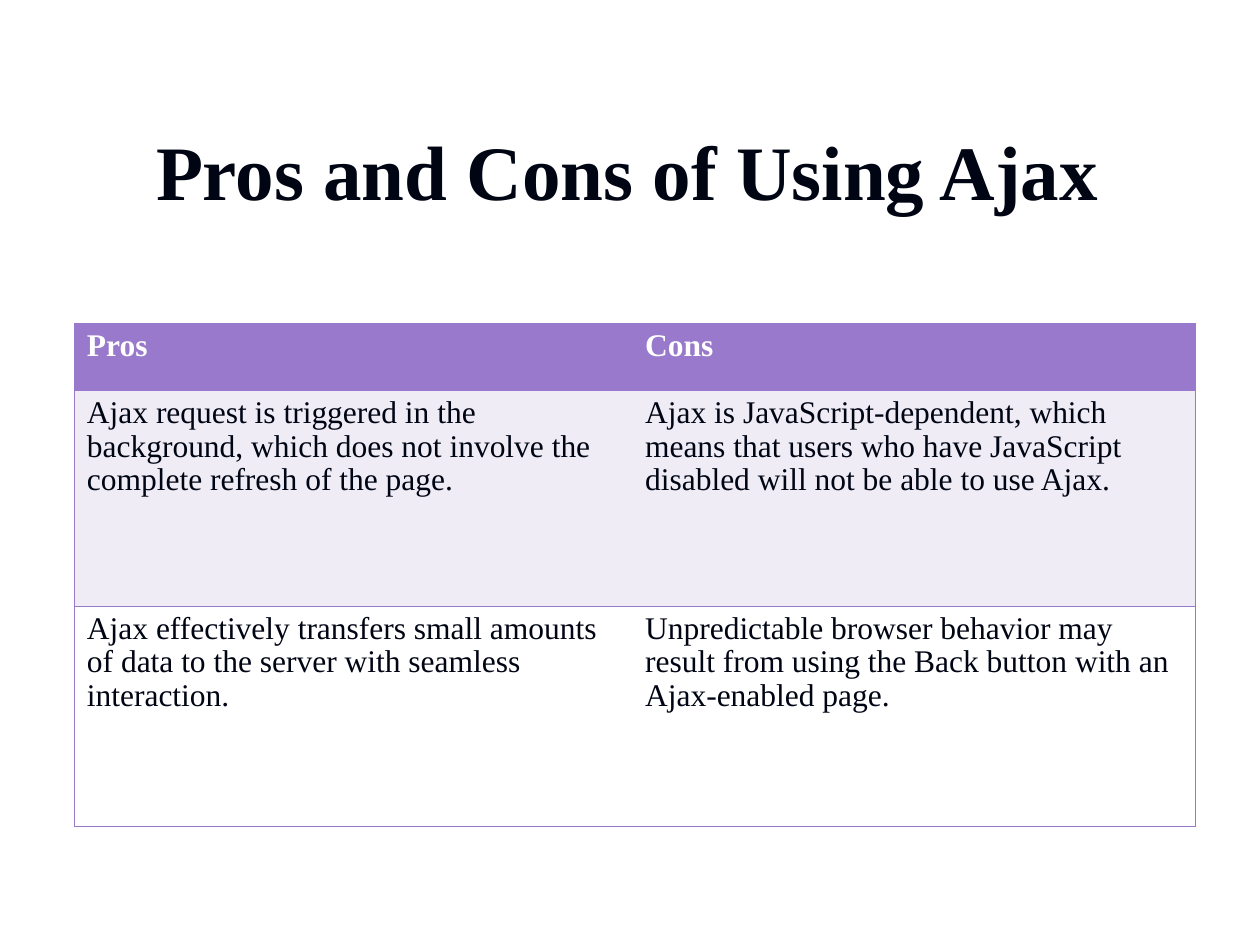
from lxml.etree import SubElement
from pptx import Presentation
from pptx.dml.color import RGBColor
from pptx.enum.text import MSO_ANCHOR, PP_ALIGN
from pptx.oxml.ns import qn
from pptx.util import Inches, Pt

FONT = "Times New Roman"
INK = RGBColor(0x00, 0x05, 0x14)
PURPLE = RGBColor(0x98, 0x79, 0xCB)
LILAC = RGBColor(0xEF, 0xEC, 0xF6)
WHITE = RGBColor(0xFF, 0xFF, 0xFF)

COLUMN_WIDTHS = [4.43, 4.47]
# Height, fill, text colour, bold, texts
ROWS = [
    (0.53, PURPLE, WHITE, True, ["Pros", "Cons"]),
    (1.71, LILAC, INK, False, [
        "Ajax request is triggered in the background, which does not involve "
        "the complete refresh of the page.",
        "Ajax is JavaScript-dependent, which means that users who have "
        "JavaScript disabled will not be able to use Ajax.",
    ]),
    (1.75, WHITE, INK, False, [
        "Ajax effectively transfers small amounts of data to the server with "
        "seamless interaction.",
        "Unpredictable browser behavior may result from using the Back button "
        "with an Ajax-enabled page.",
    ]),
]


def add_span(para, text, size, color, bold):
    span = para.add_run()
    span.text = text
    span.font.name = FONT
    span.font.size = Pt(size)
    span.font.color.rgb = color
    span.font.bold = bold


def set_borders(cell, visible_sides):
    """Draw the visible sides and hide the others; call before filling."""
    properties = cell._tc.get_or_add_tcPr()
    for side in "LRTB":
        line = SubElement(properties, qn(f"a:ln{side}"), w=str(Pt(0.45)))
        if side in visible_sides:
            fill = SubElement(line, qn("a:solidFill"))
            SubElement(fill, qn("a:srgbClr"), val=str(PURPLE))
        else:
            SubElement(line, qn("a:noFill"))


def add_title(page, text):
    title = page.shapes.title
    title.left, title.top = Inches(0.48), Inches(0.91)
    title.width, title.height = Inches(9), Inches(0.87)
    frame = title.text_frame
    frame.word_wrap = True
    frame.vertical_anchor = MSO_ANCHOR.MIDDLE
    para = frame.paragraphs[0]
    para.alignment = PP_ALIGN.CENTER
    add_span(para, text, 44, INK, True)


def add_comparison(page):
    height = sum(row[0] for row in ROWS)
    table = page.shapes.add_table(
        len(ROWS), len(COLUMN_WIDTHS), Inches(0.59), Inches(2.57),
        Inches(sum(COLUMN_WIDTHS)), Inches(height)).table
    for column, width in zip(table.columns, COLUMN_WIDTHS):
        column.width = Inches(width)
    for row, (height, fill, color, bold, texts) in enumerate(ROWS):
        table.rows[row].height = Inches(height)
        for column, text in enumerate(texts):
            cell = table.cell(row, column)
            # Only the outer frame and the horizontal rules show
            set_borders(cell, "LTB" if column == 0 else "RTB")
            cell.fill.solid()
            cell.fill.fore_color.rgb = fill
            para = cell.text_frame.paragraphs[0]
            para.line_spacing = 0.96
            add_span(para, text, 18, color, bold)


def main():
    deck = Presentation()
    deck.slide_width, deck.slide_height = Inches(10), Inches(7.5)
    page = deck.slides.add_slide(deck.slide_layouts[5])
    add_title(page, "Pros and Cons of Using Ajax")
    add_comparison(page)
    deck.save("out.pptx")


if __name__ == "__main__":
    main()
